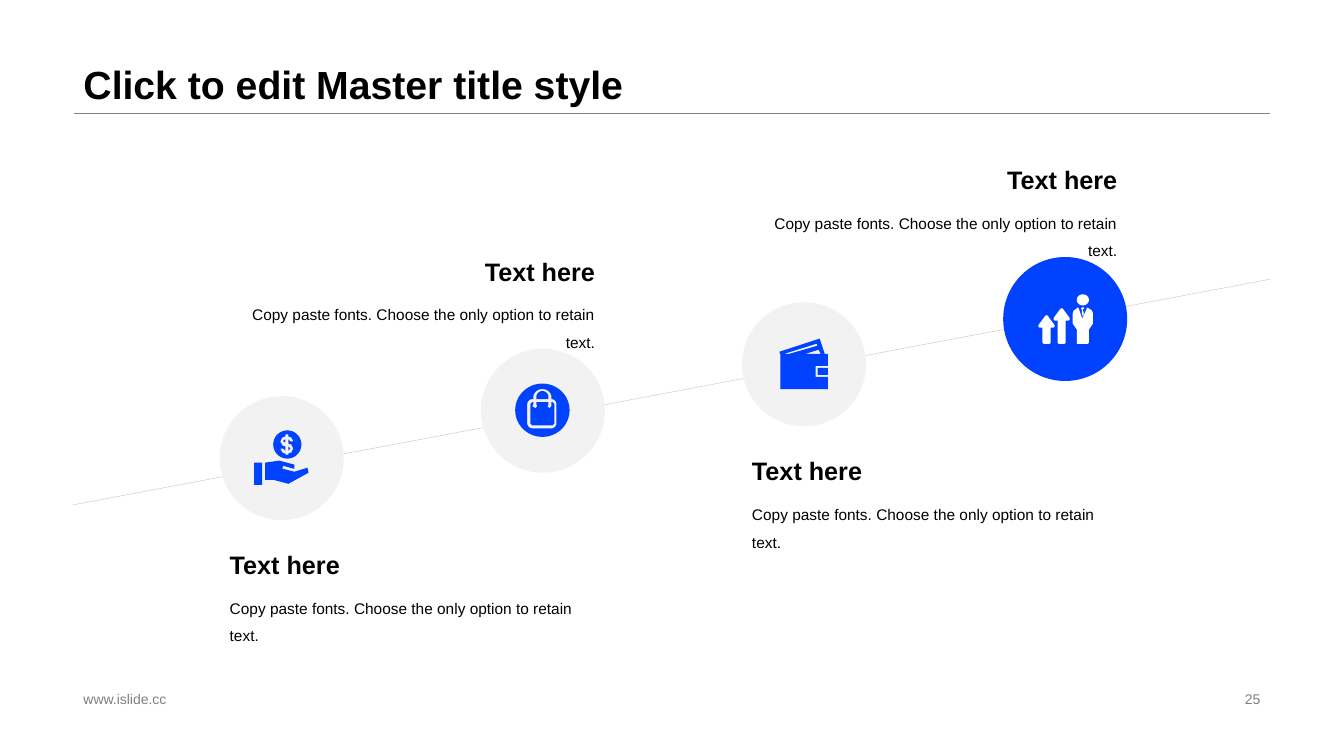
from math import cos, radians, sin

from lxml.etree import SubElement
from pptx import Presentation
from pptx.dml.color import RGBColor
from pptx.enum.shapes import MSO_CONNECTOR as Connector, MSO_SHAPE as Shape
from pptx.enum.text import MSO_ANCHOR as Anchor, PP_ALIGN as Align
from pptx.oxml.ns import qn
from pptx.util import Inches, Pt

BLACK = RGBColor(0x00, 0x00, 0x00)
WHITE = RGBColor(0xFF, 0xFF, 0xFF)
GREY = RGBColor(0x80, 0x80, 0x80)
LINE_GREY = RGBColor(0xBF, 0xBF, 0xBF)
PALE_GREY = RGBColor(0xF2, 0xF2, 0xF2)
BLUE = RGBColor(0x00, 0x42, 0xFE)

TITLE = {"size": Pt(28), "bold": True}
HEADING = {"size": Pt(18), "bold": True}
BODY = {"size": Pt(11)}
FOOTER = {"size": Pt(10)}


class SlideBuilder:
    """Holds the style and the current slide."""

    font_name = "Arial"
    line_width = Pt(0.25)

    def __init__(self, slide):
        self.slide = slide

    def text(self, box, words, formats, color=BLACK, anchor=Anchor.TOP,
             align=Align.LEFT, spacing=1.0):
        shape = self.slide.shapes.add_textbox(*map(Inches, box))
        frame = shape.text_frame
        frame.word_wrap = True
        frame.vertical_anchor = anchor
        paragraph = frame.paragraphs[0]
        paragraph.text = words
        paragraph.alignment = align
        paragraph.line_spacing = spacing
        font = paragraph.runs[0].font
        for name, value in {"name": self.font_name, **formats}.items():
            setattr(font, name, value)
        font.color.rgb = color

    def line(self, start, end, color):
        connector = self.slide.shapes.add_connector(
            Connector.STRAIGHT, *map(Inches, start + end))
        connector.line.color.rgb = color
        connector.line.width = self.line_width
        SubElement(connector._element.spPr, qn("a:effectLst"))

    def paint(self, shape, color):
        shape.fill.solid()
        shape.fill.fore_color.rgb = color
        shape.line.fill.background()
        shape.shadow.inherit = False

    def circle(self, left, top, size, color):
        shape = self.slide.shapes.add_shape(
            Shape.OVAL, *map(Inches, (left, top, size, size)))
        self.paint(shape, color)

    def icon(self, left, top, contours, color):
        """Contours are in hundredths of an inch from (left, top)."""
        builder = None
        for contour in contours:
            points = [(Inches(left + x / 100), Inches(top + y / 100))
                      for x, y in contour]
            if builder is None:
                builder = self.slide.shapes.build_freeform(*points[0], scale=1.0)
            else:
                builder.move_to(*points[0])
            builder.add_line_segments(points[1:], close=True)
        self.paint(builder.convert_to_shape(), color)


def arc(x, y, radius_x, radius_y, start=0, end=360):
    steps = max(4, abs(end - start) // 10)
    angles = [radians(start + (end - start) * i / steps) for i in range(steps + 1)]
    return [(x + radius_x * cos(a), y + radius_y * sin(a)) for a in angles]


def growth_arrow(x, top):
    half = [(1, top), (8, top + 9.5), (8, top + 11), (7, top + 12),
            (4, top + 12), (4, 85), (3, 86)]
    return [(x + dx, y) for dx, y in half] + [(x - dx, y) for dx, y in reversed(half)]


# Icon contours; a contour inside another one cuts a hole
HAND_WITH_COIN = [
    [(34, 66), (42, 66), (42, 88), (34, 88)],
    [(59, 64), (74, 68), (74, 72), (73, 72), (63, 69), (62, 72), (74, 75),
     (87, 71), (88, 76), (68, 87), (53, 83), (45, 83), (45, 66)],
    arc(67, 48, 14, 14),
    [(65, 38), (65, 40), (62, 41), (60, 45), (62, 49), (65, 50), (65, 54),
     (63, 52), (60, 52), (62, 56), (65, 57), (65, 58), (68, 58), (68, 57),
     (71, 56), (73, 52), (71, 48), (68, 47), (68, 43), (70, 45), (73, 45),
     (71, 41), (68, 40), (68, 38)],
    [(68, 50), (70, 52), (68, 54)],
    [(65, 43), (65, 46), (63, 45), (63, 44)],
]
SHOPPING_BAG = [
    arc(61, 61, 27, 26.5),
    arc(61, 48, 9, 8, 0, -180) + [(52, 50)]
    + arc(51, 55, 5, 5, 270, 180) + arc(51, 74, 5, 5, 180, 90)
    + arc(70, 74, 5, 5, 90, 0) + arc(70, 55, 5, 5, 0, -90) + [(70, 50)],
    [(51, 53), (52, 53), (52, 55), (51, 57), (54, 59), (56, 57), (55, 55),
     (55, 53), (67, 53), (67, 55), (66, 57), (68, 59), (70, 57), (70, 55),
     (70, 53), (71, 53), (73, 55), (73, 74), (71, 76), (51, 76), (49, 74),
     (49, 55)],
    arc(61, 48, 6, 6, 180, 360) + [(67, 50), (55, 50)],
]
WALLET = [
    [(75, 65), (85, 65), (85, 72), (75, 72)],
    [(76, 47), (63, 51), (78, 51)],
    [(74, 41), (42, 51), (47, 51), (75, 43)],
    [(77, 36), (82, 51), (85, 51), (85, 63), (73, 63), (73, 74), (85, 74),
     (85, 86), (38, 86), (38, 52), (37, 49)],
]
GROWTH = [
    growth_arrow(43, 58),
    growth_arrow(58, 51),
    [(74, 50), (75, 51), (78, 60), (79, 60), (83, 51), (83, 50), (85, 51),
     (88, 53), (89, 56), (89, 66), (85, 72), (85, 85), (84, 86), (73, 86),
     (73, 72), (69, 66), (69, 56), (70, 53), (73, 51)],
    [(78, 50), (80, 50), (80, 51), (79, 52), (80, 56), (79, 59), (78, 56),
     (78, 52), (77, 51)],
    arc(79, 42.5, 6, 5.5),
]

# Circle top, icon, circle colour, icon colour, text above the circle
STEPS = [
    (3.93, HAND_WITH_COIN, PALE_GREY, BLUE, False),
    (3.46, SHOPPING_BAG, PALE_GREY, BLUE, True),
    (3.00, WALLET, PALE_GREY, BLUE, False),
    (2.55, GROWTH, BLUE, WHITE, True),
]
FIRST_LEFT, STEP_PITCH, CIRCLE_SIZE = 2.18, 2.59, 1.23
TEXT_WIDTH, HEADING_HEIGHT, BODY_HEIGHT = 3.88, 0.48, 0.43


def main():
    presentation = Presentation()
    presentation.slide_width = Inches(13.33)
    presentation.slide_height = Inches(7.5)
    builder = SlideBuilder(
        presentation.slides.add_slide(presentation.slide_layouts[6]))

    # Title and footer
    builder.line((0.73, 1.12), (12.6, 1.12), GREY)
    builder.text((0.73, 0, 11.87, 1.12), "Click to edit Master title style",
                 TITLE, anchor=Anchor.BOTTOM, spacing=0.9)
    builder.text((0.73, 6.82, 4.53, 0.23), "www.islide.cc", FOOTER, GREY,
                 Anchor.MIDDLE)
    builder.text((9.42, 6.82, 3.18, 0.23), "25", FOOTER, GREY,
                 Anchor.MIDDLE, Align.RIGHT)

    # Rising line with four steps
    builder.line((0.72, 5.01), (12.6, 2.77), LINE_GREY)
    for index, (top, icon, circle_color, icon_color, above) in enumerate(STEPS):
        left = FIRST_LEFT + index * STEP_PITCH
        builder.circle(left, top, CIRCLE_SIZE, circle_color)
        builder.icon(left, top, icon, icon_color)

        text_left = left + CIRCLE_SIZE - TEXT_WIDTH if above else left
        text_top = top - 1.05 if above else top + 1.39
        align = Align.RIGHT if above else Align.LEFT
        builder.text((text_left, text_top, TEXT_WIDTH, HEADING_HEIGHT),
                     "Text here", HEADING, anchor=Anchor.BOTTOM, align=align)
        builder.text((text_left, text_top + HEADING_HEIGHT, TEXT_WIDTH, BODY_HEIGHT),
                     "Copy paste fonts. Choose the only option to retain text.",
                     BODY, align=align, spacing=1.5)

    presentation.save("out.pptx")


if __name__ == "__main__":
    main()
